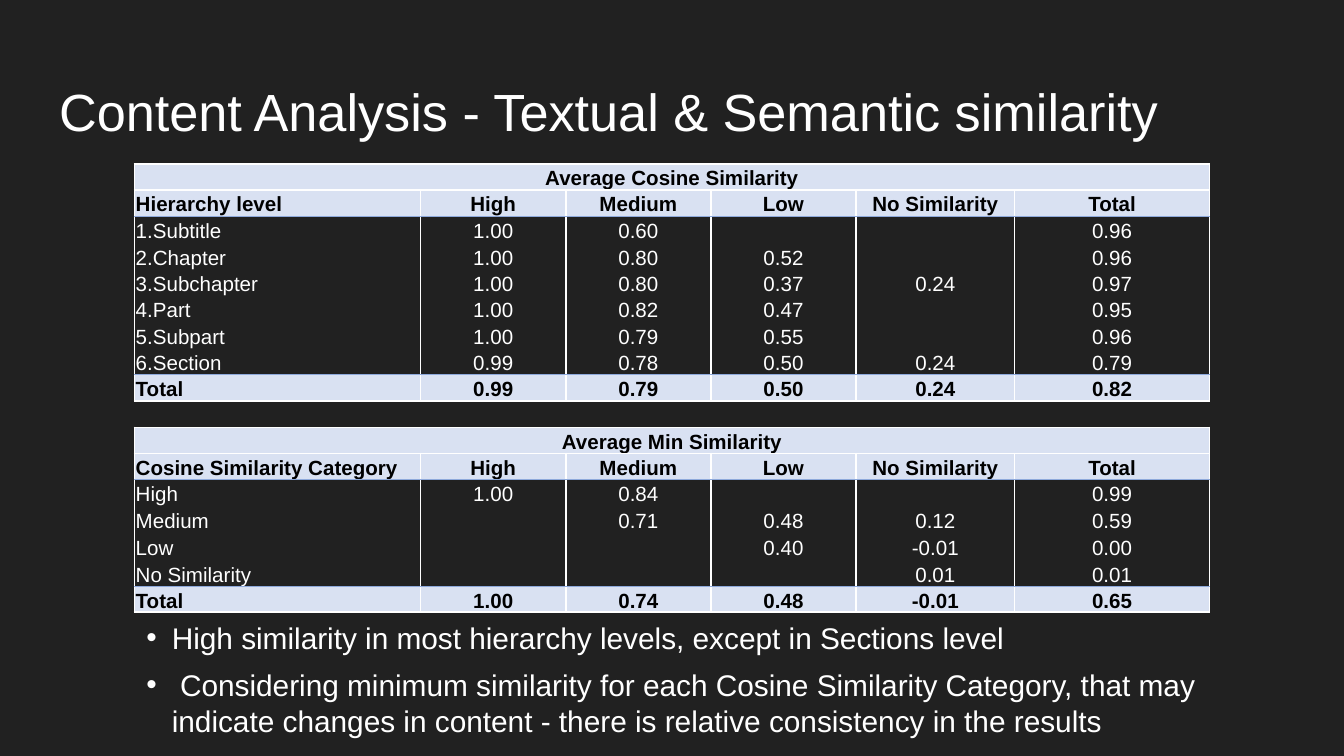
from lxml import etree
from pptx import Presentation
from pptx.dml.color import RGBColor
from pptx.enum.text import MSO_ANCHOR, MSO_AUTO_SIZE, PP_ALIGN
from pptx.oxml.ns import qn
from pptx.util import Inches, Pt

LEFT, CENTER = PP_ALIGN.LEFT, PP_ALIGN.CENTER
TOP, BOTTOM = MSO_ANCHOR.TOP, MSO_ANCHOR.BOTTOM
NO_FIT = MSO_AUTO_SIZE.NONE

DARK = RGBColor(0x21, 0x21, 0x21)
WHITE = RGBColor(0xFF, 0xFF, 0xFF)
BLACK = RGBColor(0, 0, 0)
PALE = RGBColor(0xD9, 0xE1, 0xF2)
BLUE = RGBColor(0x8E, 0xA9, 0xDB)
FONT = "Arial"

# Content
TITLE = "Content Analysis - Textual & Semantic similarity"
HEADS = ["High", "Medium", "Low", "No Similarity", "Total"]
COSINE = [
    ["1.Subtitle", "1.00", "0.60", "", "", "0.96"],
    ["2.Chapter", "1.00", "0.80", "0.52", "", "0.96"],
    ["3.Subchapter", "1.00", "0.80", "0.37", "0.24", "0.97"],
    ["4.Part", "1.00", "0.82", "0.47", "", "0.95"],
    ["5.Subpart", "1.00", "0.79", "0.55", "", "0.96"],
    ["6.Section", "0.99", "0.78", "0.50", "0.24", "0.79"],
    ["Total", "0.99", "0.79", "0.50", "0.24", "0.82"],
]
MINIMUM = [
    ["High", "1.00", "0.84", "", "", "0.99"],
    ["Medium", "", "0.71", "0.48", "0.12", "0.59"],
    ["Low", "", "", "0.40", "-0.01", "0.00"],
    ["No Similarity", "", "", "", "0.01", "0.01"],
    ["Total", "1.00", "0.74", "0.48", "-0.01", "0.65"],
]
BLOCKS = [
    ("Average Cosine Similarity", "Hierarchy level", COSINE),
    ("Average Min Similarity", "Cosine Similarity Category", MINIMUM),
]
POINTS = [
    "High similarity in most hierarchy levels, except in Sections level",
    " Considering minimum similarity for each Cosine Similarity Category, "
    "that may indicate changes in content - there is relative consistency "
    "in the results",
]
COLS = [2.13, 1.08, 1.08, 1.08, 1.18, 1.45]
HIGH = 3.29  # table height

# Border styles
THICK, THIN = (WHITE, 1), (BLUE, 0.5)


def add_text(para, text, size, color, bold=False):
    run = para.add_run()
    run.text = text
    font = run.font
    font.name, font.size, font.bold = FONT, Pt(size), bold
    font.color.rgb = color


def set_edge(cell, side, style):
    props = cell._tc.get_or_add_tcPr()
    line = etree.SubElement(props, qn(f"a:ln{side}"))
    if style is None:
        etree.SubElement(line, qn("a:noFill"))
        return
    color, width = style
    line.set("w", str(Pt(width)))
    fill = etree.SubElement(line, qn("a:solidFill"))
    etree.SubElement(fill, qn("a:srgbClr")).set("val", str(color))


def fill_cell(cell, text, align, strong, edges):
    for side, style in zip("LRTB", edges):
        set_edge(cell, side, style)
    if strong:
        cell.fill.solid()
        cell.fill.fore_color.rgb = PALE
    else:
        cell.fill.background()
    cell.vertical_anchor = BOTTOM
    cell.margin_left = cell.margin_right = cell.margin_top = Inches(0.01)
    cell.margin_bottom = 0
    para = cell.text_frame.paragraphs[0]
    para.alignment = align
    if text:
        add_text(para, text, 11, BLACK if strong else WHITE, strong)
    else:  # keeps the empty row from growing
        para._p.get_or_add_endParaRPr().set("sz", "1100")


# Rows as (kind, values, top edge, bottom edge)
rows = []
for name, label, data in BLOCKS:
    if rows:
        rows.append(("gap", [""] * 6, THICK, THICK))
    rows.append(("name", [name] + [""] * 5, THICK, THICK))
    rows.append(("head", [label] + HEADS, THICK, THIN))
    last = len(data) - 2
    for i, vals in enumerate(data[:-1]):
        rows.append(("body", vals, THIN if i == 0 else None,
                     THIN if i == last else None))
    rows.append(("total", data[-1], THIN, THICK))

# Slide (16:9) and title
deck = Presentation()
deck.slide_width = Inches(10)
deck.slide_height = deck.slide_width * 9 // 16
slide = deck.slides.add_slide(deck.slide_layouts[5])
slide.background.fill.solid()
slide.background.fill.fore_color.rgb = DARK

title = slide.shapes.title
title.left, title.top = Inches(0.34), Inches(0.49)
title.width, title.height = Inches(9.32), Inches(1.12)
frame = title.text_frame
frame.auto_size, frame.word_wrap = NO_FIT, True
frame.vertical_anchor = TOP
frame.margin_left = frame.margin_right = Inches(0.1)
frame.margin_top = frame.margin_bottom = Inches(0.1)
frame.paragraphs[0].alignment = LEFT
add_text(frame.paragraphs[0], TITLE, 28, WHITE)

# Table
table = slide.shapes.add_table(len(rows), len(COLS), Inches(1), Inches(1.22),
                               Inches(sum(COLS)), Inches(HIGH)).table
table.first_row = table.horz_banding = False
for col, width in zip(table.columns, COLS):
    col.width = Inches(width)
for r, (kind, vals, top, base) in enumerate(rows):
    table.rows[r].height = Inches(HIGH / len(rows))
    side = None if kind == "gap" else THICK
    strong = kind not in ("gap", "body")
    for c, text in enumerate(vals):
        align = LEFT if c == 0 and kind != "name" else CENTER
        fill_cell(table.cell(r, c), text, align, strong,
                  (side, side, top, base))
    if kind == "name":
        table.cell(r, 0).merge(table.cell(r, len(COLS) - 1))

# Bullet points
box = slide.shapes.add_textbox(Inches(0.99), Inches(4.56),
                               Inches(8.57), Inches(0.99))
frame = box.text_frame
frame.word_wrap = True
for i, text in enumerate(POINTS):
    para = frame.add_paragraph() if i else frame.paragraphs[0]
    para.space_after, para.line_spacing = Pt(6), 1.0
    props = para._p.get_or_add_pPr()
    props.set("marL", str(Inches(0.19)))
    props.set("indent", str(-Inches(0.19)))
    tint = etree.SubElement(props, qn("a:buClr"))
    etree.SubElement(tint, qn("a:srgbClr")).set("val", str(WHITE))
    etree.SubElement(props, qn("a:buFont")).set("typeface", FONT)
    etree.SubElement(props, qn("a:buChar")).set("char", "•")
    add_text(para, text, 16, WHITE)

deck.save("out.pptx")
